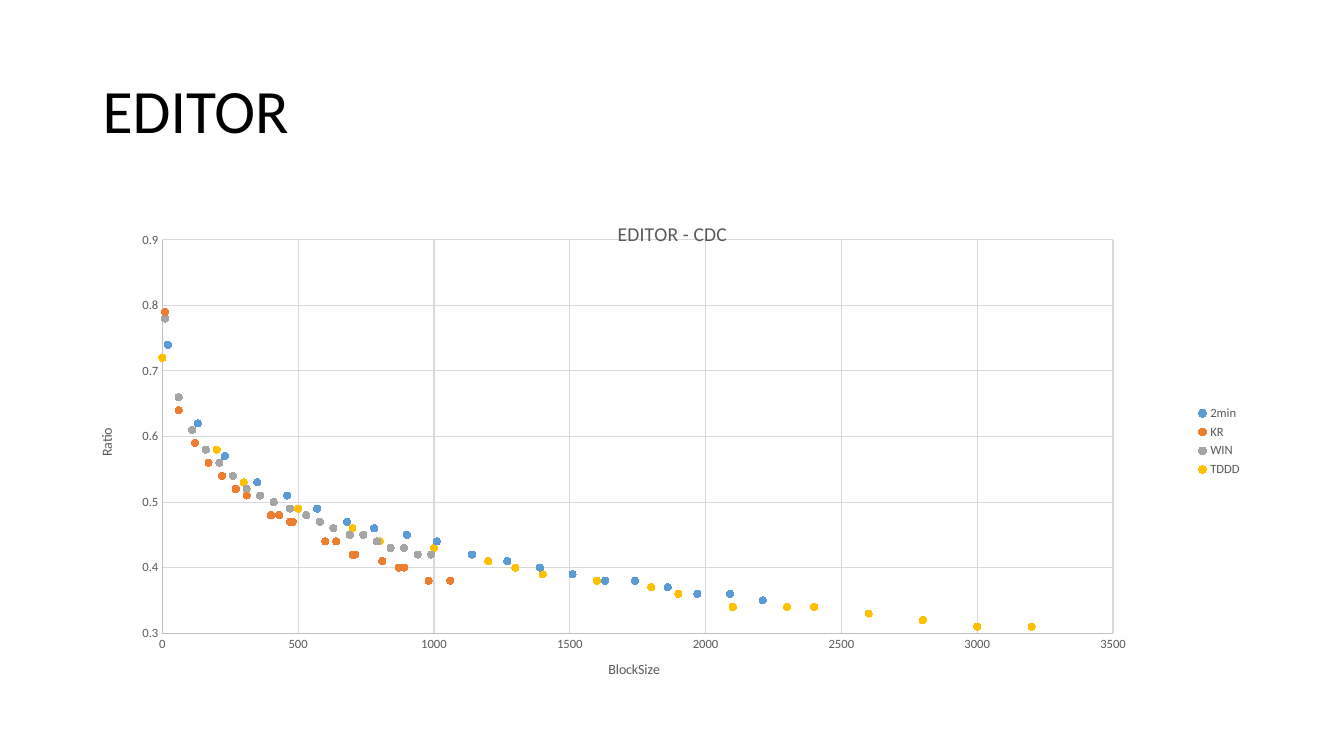
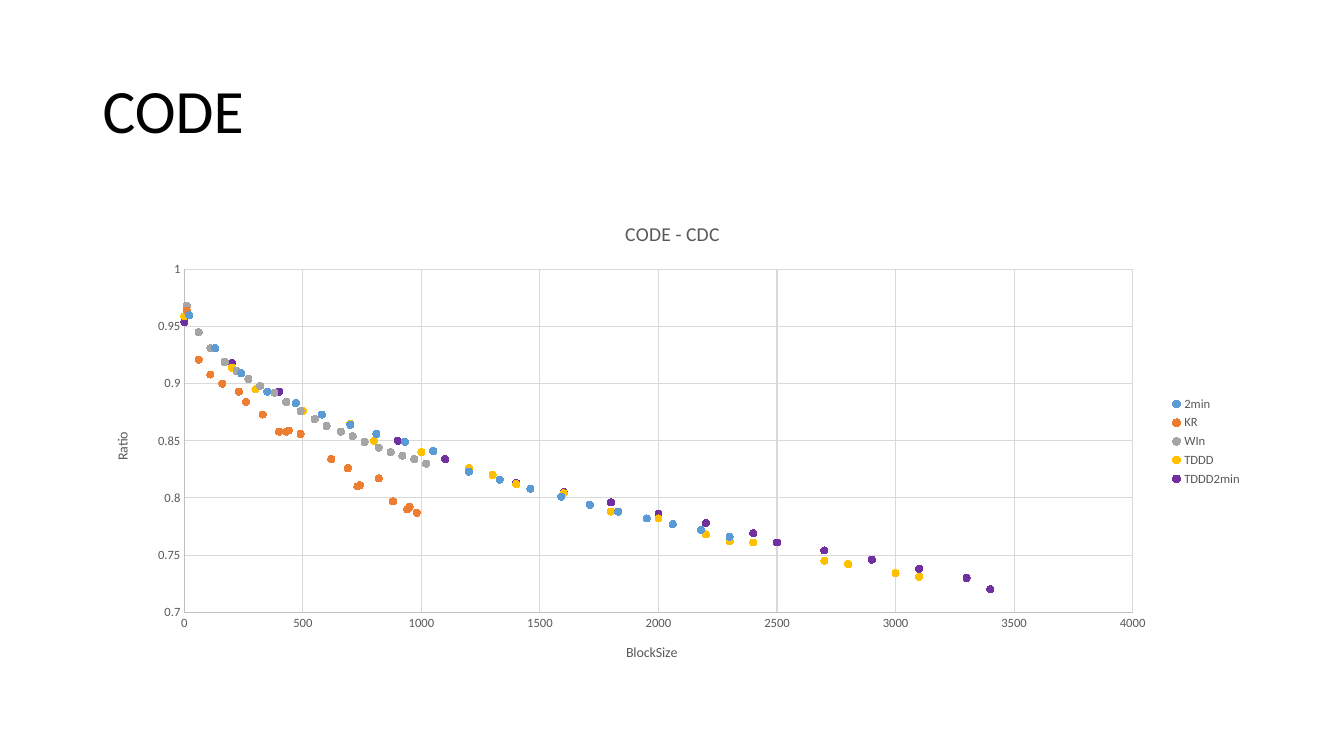
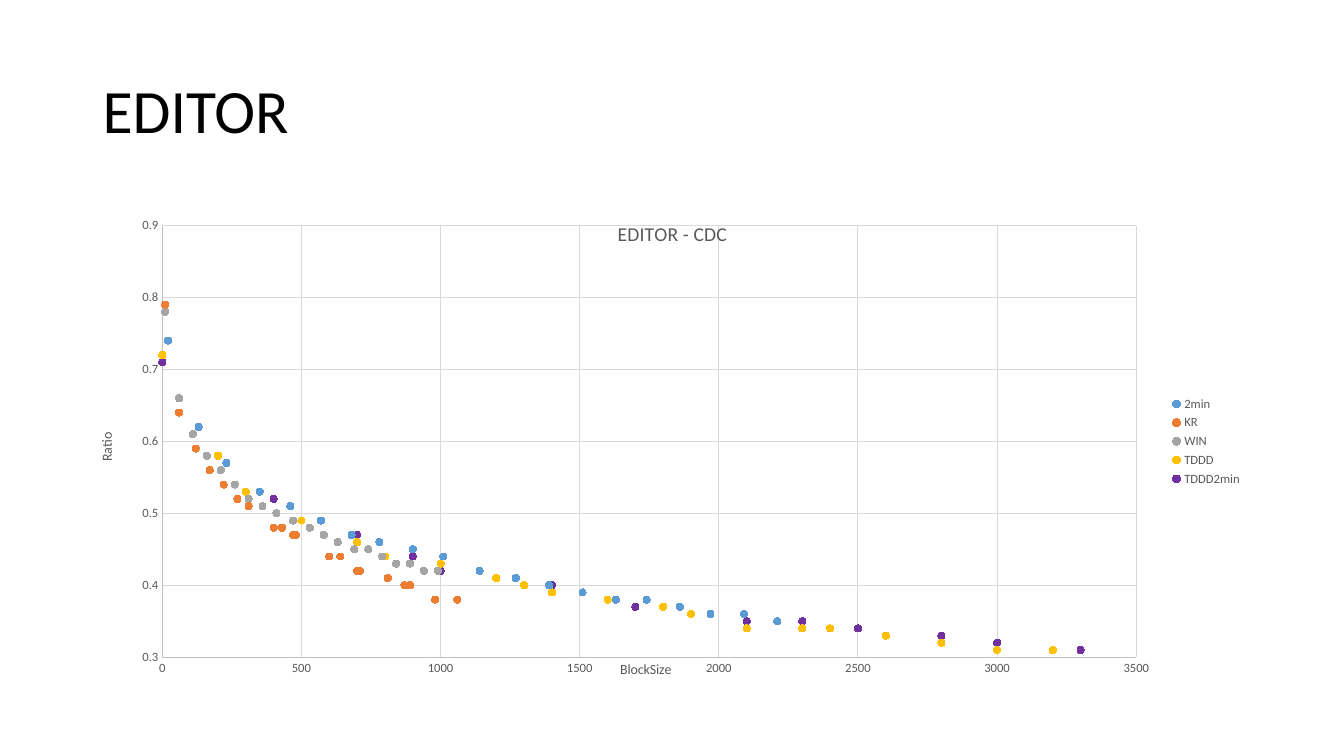
from pptx import Presentation, util as u
from pptx.chart import data
from pptx.dml import color
from pptx.enum import chart as ce, text
from pptx.oxml import parse_xml
from pptx.oxml.ns import nsdecls, qn

WIDE, HIGH = 13.33, 7.5
LEFT, SPAN = 0.92, 11.5
FONT = "Calibri"
BLACK, GREY, AXIS, GRID = "000000", "595959", "BFBFBF", "D9D9D9"
TINTS = ["5B9BD5", "ED7D31", "A5A5A5", "FFC000", "7030A0"]

# Each series: name, block sizes, ratios
EDITOR = [
    ("2min",
     [20, 130, 230, 350, 460, 570, 680, 780, 900, 1010,
      1140, 1270, 1390, 1510, 1630, 1740, 1860, 1970, 2090, 2210],
     [0.74, 0.62, 0.57, 0.53, 0.51, 0.49, 0.47, 0.46, 0.45, 0.44,
      0.42, 0.41, 0.4, 0.39, 0.38, 0.38, 0.37, 0.36, 0.36, 0.35]),
    ("KR",
     [10, 60, 120, 170, 220, 270, 310, 400, 430, 470,
      480, 600, 640, 710, 700, 810, 870, 890, 980, 1060],
     [0.79, 0.64, 0.59, 0.56, 0.54, 0.52, 0.51, 0.48, 0.48, 0.47,
      0.47, 0.44, 0.44, 0.42, 0.42, 0.41, 0.4, 0.4, 0.38, 0.38]),
    ("WIN",
     [10, 60, 110, 160, 210, 260, 310, 360, 410, 470,
      530, 580, 630, 690, 740, 790, 840, 890, 940, 990],
     [0.78, 0.66, 0.61, 0.58, 0.56, 0.54, 0.52, 0.51, 0.5, 0.49,
      0.48, 0.47, 0.46, 0.45, 0.45, 0.44, 0.43, 0.43, 0.42, 0.42]),
    ("TDDD",
     [0, 200, 300, 500, 700, 800, 1000, 1200, 1300, 1400,
      1600, 1800, 1900, 2100, 2300, 2400, 2600, 2800, 3000, 3200],
     [0.72, 0.58, 0.53, 0.49, 0.46, 0.44, 0.43, 0.41, 0.4, 0.39,
      0.38, 0.37, 0.36, 0.34, 0.34, 0.34, 0.33, 0.32, 0.31, 0.31]),
]
EDITOR_MIN = (
    "TDDD2min",
    [0, 200, 400, 500, 700, 900, 1000, 1200, 1400, 1600,
     1700, 1900, 2100, 2300, 2500, 2600, 2800, 3000, 3200, 3300],
    [0.71, 0.58, 0.52, 0.49, 0.47, 0.44, 0.42, 0.41, 0.4, 0.38,
     0.37, 0.36, 0.35, 0.35, 0.34, 0.33, 0.33, 0.32, 0.31, 0.31])
CODE = [
    ("2min",
     [20, 130, 240, 350, 470, 580, 700, 810, 930, 1050,
      1200, 1330, 1460, 1590, 1710, 1830, 1950, 2060, 2180, 2300],
     [0.96, 0.931, 0.909, 0.893, 0.883, 0.873, 0.864, 0.856, 0.849, 0.841,
      0.823, 0.816, 0.808, 0.801, 0.794, 0.788, 0.782, 0.777, 0.772, 0.766]),
    ("KR",
     [10, 60, 110, 160, 230, 260, 330, 400, 440, 430,
      490, 620, 690, 730, 740, 820, 880, 950, 940, 980],
     [0.964, 0.921, 0.908, 0.9, 0.893, 0.884, 0.873, 0.858, 0.859, 0.858,
      0.856, 0.834, 0.826, 0.81, 0.811, 0.817, 0.797, 0.792, 0.79, 0.787]),
    ("WIn",
     [10, 60, 110, 170, 220, 270, 320, 380, 430, 490,
      550, 600, 660, 710, 760, 820, 870, 920, 970, 1020],
     [0.968, 0.945, 0.931, 0.919, 0.911, 0.904, 0.898, 0.892, 0.884, 0.876,
      0.869, 0.863, 0.858, 0.854, 0.849, 0.844, 0.84, 0.837, 0.834, 0.83]),
    ("TDDD",
     [0, 200, 300, 500, 700, 800, 1000, 1200, 1300, 1400,
      1600, 1800, 2000, 2200, 2300, 2400, 2700, 2800, 3000, 3100],
     [0.959, 0.914, 0.895, 0.876, 0.865, 0.85, 0.84, 0.826, 0.82, 0.812,
      0.804, 0.788, 0.782, 0.768, 0.762, 0.761, 0.745, 0.742, 0.734, 0.731]),
    ("TDDD2min",
     [0, 200, 400, 500, 700, 900, 1100, 1200, 1400, 1600,
      1800, 2000, 2200, 2400, 2500, 2700, 2900, 3100, 3300, 3400],
     [0.954, 0.918, 0.893, 0.876, 0.864, 0.85, 0.834, 0.823, 0.813, 0.805,
      0.796, 0.786, 0.778, 0.769, 0.761, 0.754, 0.746, 0.738, 0.73, 0.72]),
]


def rgb(tint):
    return color.RGBColor.from_string(tint)


def style(font, size, tint=GREY):
    font.name, font.size, font.bold = FONT, u.Pt(size), False
    font.color.rgb = rgb(tint)


def stroke(line, tint):
    line.color.rgb = rgb(tint)
    line.width = u.Pt(0.75)


def label(frame, words, size):
    frame.text = words
    style(frame.paragraphs[0].font, size)


def title(slide, words, box):
    frame = slide.shapes.add_textbox(*map(u.Inches, box)).text_frame
    frame.word_wrap = True
    frame.vertical_anchor = text.MSO_ANCHOR.MIDDLE
    para = frame.paragraphs[0]
    para.text, para.line_spacing = words, 0.9
    style(para.font, 44, BLACK)


def scale(axis, words, low, top, step):
    """Set the range, lines and labels of one axis."""
    axis.minimum_scale, axis.maximum_scale, axis.major_unit = low, top, step
    axis.major_tick_mark = axis.minor_tick_mark = ce.XL_TICK_MARK.NONE
    axis.has_major_gridlines = True
    stroke(axis.major_gridlines.format.line, GRID)
    stroke(axis.format.line, AXIS)
    ticks = axis.tick_labels
    ticks.number_format, ticks.number_format_is_linked = "General", False
    style(ticks.font, 9)
    label(axis.axis_title.text_frame, words, 10)


def inset(chart, shares):
    """Fix the inner plot box, given as shares of the chart."""
    area = chart._chartSpace.chart.plotArea
    for old in area.findall(qn("c:layout")):
        area.remove(old)
    sizes = "".join(f'<c:{tag} val="{val}"/>'
                    for tag, val in zip("xywh", shares))
    area.insert(0, parse_xml(
        f'<c:layout {nsdecls("c")}><c:manualLayout>'
        '<c:layoutTarget val="inner"/><c:xMode val="edge"/>'
        f'<c:yMode val="edge"/>{sizes}</c:manualLayout></c:layout>'))


def scatter(slide, name, rows, across, up, plot, box):
    source = data.XyChartData()
    for key, sizes, ratios in rows:
        row = source.add_series(key)
        for size, ratio in zip(sizes, ratios):
            row.add_data_point(size, ratio)
    chart = slide.shapes.add_chart(
        ce.XL_CHART_TYPE.XY_SCATTER, *map(u.Inches, box), source).chart
    style(chart.font, 10, BLACK)
    chart.has_title = True
    label(chart.chart_title.text_frame, f"{name} - CDC", 14)
    chart.chart_title.include_in_layout = False
    chart.has_legend = True
    chart.legend.position = ce.XL_LEGEND_POSITION.RIGHT
    chart.legend.include_in_layout = False
    style(chart.legend.font, 9)
    scale(chart.category_axis, "BlockSize", *across)
    scale(chart.value_axis, "Ratio", *up)
    chart.plots[0].vary_by_categories = False
    for row, tint in zip(chart.plots[0].series, TINTS):
        row.format.line.fill.background()
        mark = row.marker
        mark.style, mark.size = ce.XL_MARKER_STYLE.CIRCLE, 5
        mark.format.fill.solid()
        mark.format.fill.fore_color.rgb = rgb(tint)
        stroke(mark.format.line, tint)
    if plot:
        inset(chart, plot)


def page(deck, name, *parts):
    slide = deck.slides.add_slide(deck.slide_layouts[6])
    title(slide, name, (LEFT, 0.4, SPAN, 1.45))
    scatter(slide, name, *parts, (LEFT, 2, SPAN, 4.76))


def main():
    deck = Presentation()
    deck.slide_width, deck.slide_height = u.Inches(WIDE), u.Inches(HIGH)
    near, far = (0, 3500, 500), (0, 4000, 500)
    deep, flat = (0.3, 0.9, 0.1), (0.7, 1, 0.05)
    page(deck, "EDITOR", EDITOR, near, deep, (0.06, 0.08, 0.82, 0.82))
    page(deck, "CODE", CODE, far, flat, None)
    page(deck, "EDITOR", EDITOR + [EDITOR_MIN], near, deep,
         (0.06, 0.05, 0.84, 0.9))
    deck.save("out.pptx")


if __name__ == "__main__":
    main()
